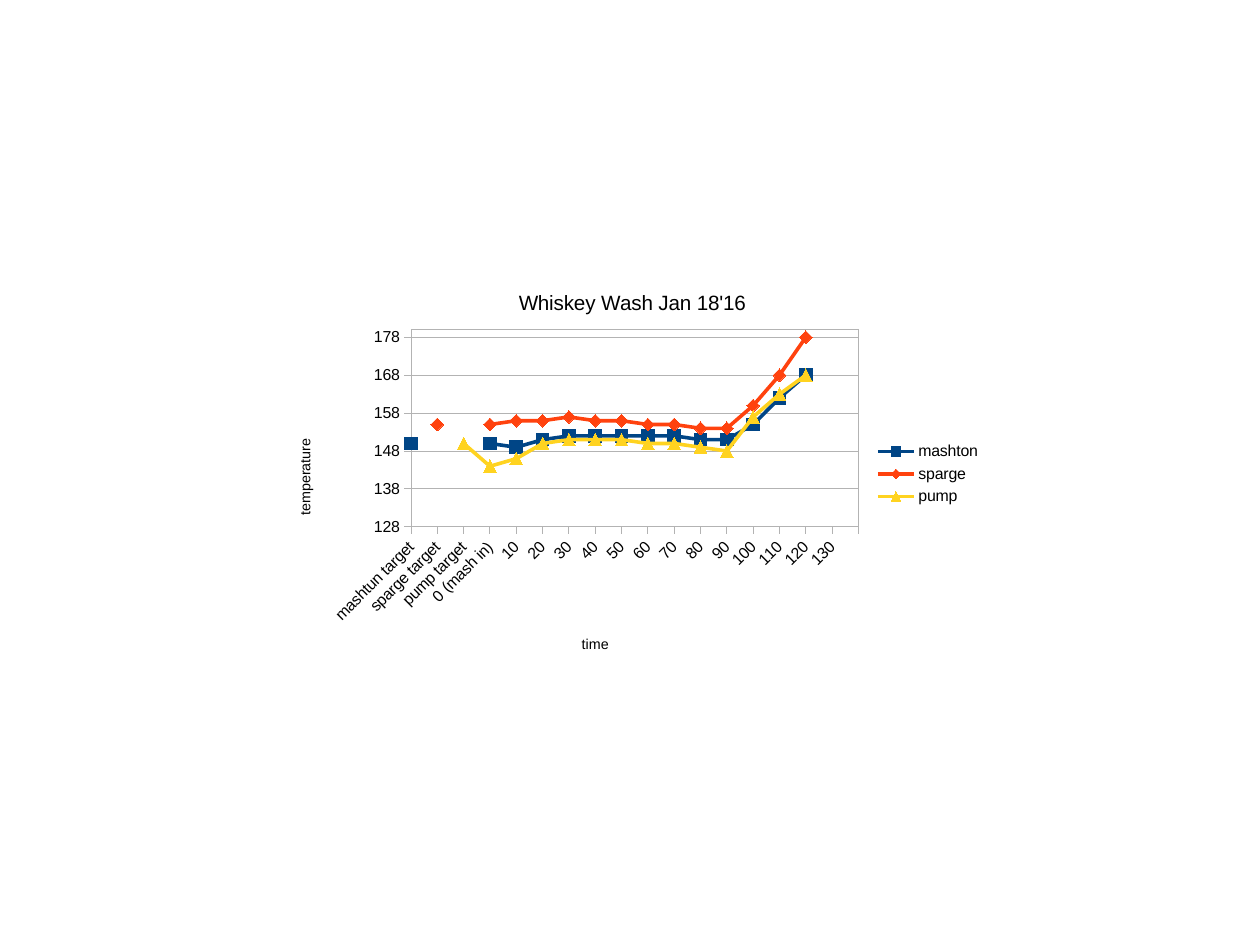
from lxml.etree import SubElement
from pptx import Presentation
from pptx.chart.data import CategoryChartData
from pptx.dml.color import RGBColor
from pptx.enum.chart import (XL_AXIS_CROSSES as Crosses, XL_CHART_TYPE as ChartType,
                             XL_LEGEND_POSITION as LegendPosition,
                             XL_MARKER_STYLE as Marker, XL_TICK_MARK as Tick)
from pptx.oxml import parse_xml
from pptx.oxml.ns import nsdecls, qn
from pptx.util import Pt

TIMES = (["mashtun target", "sparge target", "pump target", "0 (mash in)"]
         + [str(minute) for minute in range(10, 131, 10)] + [""])
READINGS = [
    ("mashton", "004586", Marker.SQUARE,
     [150, None, None, 150, 149, 151, 152, 152, 152, 152, 152, 151, 151,
      155, 162, 168, None, None]),
    ("sparge", "FF420E", Marker.DIAMOND,
     [None, 155, None, 155, 156, 156, 157, 156, 156, 155, 155, 154, 154,
      160, 168, 178, None, None]),
    ("pump", "FFD320", Marker.TRIANGLE,
     [None, None, 150, 144, 146, 150, 151, 151, 151, 150, 150, 149, 148,
      157, 163, 168, None, None]),
]


def color(value):
    return RGBColor.from_string(value)


class ChartPage:
    """Hold the style and current slide, and build the parts of its line chart."""
    face, ink, grid = "Arial", "000000", "B3B3B3"
    width, height = 453.6, 254.9

    def __init__(self, page):
        self.page = page

    def font(self, font, size):
        font.name, font.size, font.bold = self.face, Pt(size), False
        font.color.rgb = color(self.ink)

    def hairline(self, line):
        line.color.rgb = color(self.grid)
        line.width = Pt(0.01)

    def title(self, owner, text, size):
        owner.text_frame.text = text
        for span in owner.text_frame.paragraphs[0].runs:
            self.font(span.font, size)

    def place(self, element, index, **lengths):
        for old in element.findall(qn("c:layout")):
            element.remove(old)
        layout = parse_xml(f"<c:layout {nsdecls('c')}/>")
        manual = SubElement(layout, qn("c:manualLayout"))
        if "w" in lengths:
            SubElement(manual, qn("c:layoutTarget")).set("val", "inner")
        for side in ("x", "y"):
            SubElement(manual, qn(f"c:{side}Mode")).set("val", "edge")
        for key, length in lengths.items():
            whole = self.width if key in "xw" else self.height
            SubElement(manual, qn(f"c:{key}")).set("val", str(length / whole))
        element.insert(index, layout)

    def chart(self, left, top, times, readings):
        data = CategoryChartData()
        data.categories = times
        for name, _, _, values in readings:
            data.add_series(name, values)
        frame = self.page.shapes.add_chart(
            ChartType.LINE_MARKERS, Pt(left), Pt(top), Pt(self.width), Pt(self.height), data)
        chart = frame.chart
        self.font(chart.font, 10)
        chart.plots[0].vary_by_categories = False
        for series, (_, shade, symbol, _) in zip(chart.plots[0].series, readings):
            self.series(series, shade, symbol)
        return chart

    def series(self, series, shade, symbol):
        series.smooth = False
        series.format.line.color.rgb = color(shade)
        series.format.line.width = Pt(2.27)
        marker = series.marker
        marker.style, marker.size = symbol, 8
        marker.format.fill.solid()
        marker.format.fill.fore_color.rgb = color(shade)
        marker.format.line.color.rgb = color(shade)

    def axis(self, axis, text, x, y):
        axis.crosses = Crosses.MINIMUM
        axis.major_tick_mark, axis.minor_tick_mark = Tick.OUTSIDE, Tick.NONE
        self.hairline(axis.format.line)
        self.font(axis.tick_labels.font, 10)
        self.title(axis.axis_title, text, 9)
        self.place(axis.axis_title._element, 1, x=x, y=y)

    def scale(self, axis, low, high, step):
        axis.minimum_scale, axis.maximum_scale, axis.major_unit = low, high, step
        axis.has_major_gridlines = True
        self.hairline(axis.major_gridlines.format.line)
        element = axis._element
        for old in element.findall(qn("c:crossBetween")):
            element.remove(old)
        element.find(qn("c:crosses")).addnext(
            parse_xml(f'<c:crossBetween {nsdecls("c")} val="midCat"/>'))

    def slant(self, axis, degrees):
        body = axis._element.find(qn("c:txPr")).find(qn("a:bodyPr"))
        body.set("rot", str(degrees * 60000))
        body.set("vert", "horz")

    def wall(self, chart, x, y, w, h):
        area = chart._chartSpace.chart.plotArea
        self.place(area, 0, x=x, y=y, w=w, h=h)
        area.append(parse_xml(
            f'<c:spPr {nsdecls("c", "a")}><a:noFill/><a:ln w="0"><a:solidFill>'
            f'<a:srgbClr val="{self.grid}"/></a:solidFill></a:ln></c:spPr>'))

    def legend(self, chart, x, y):
        chart.has_legend = True
        chart.legend.position = LegendPosition.RIGHT
        chart.legend.include_in_layout = False
        self.font(chart.legend.font, 10)
        self.place(chart.legend._element, 1, x=x, y=y)


def main():
    deck = Presentation()
    deck.slide_width, deck.slide_height = Pt(793.7), Pt(595.28)
    sheet = ChartPage(deck.slides.add_slide(deck.slide_layouts[6]))
    chart = sheet.chart(171.4, 171.4, TIMES, READINGS)
    chart.has_title = True
    sheet.title(chart.chart_title, "Whiskey Wash Jan 18'16", 13)
    sheet.axis(chart.category_axis, "time", 193.4, 226.9)
    sheet.axis(chart.value_axis, "temperature", 13.1, 103.2)
    sheet.scale(chart.value_axis, 128, 180, 10)
    sheet.slant(chart.category_axis, -45)
    sheet.wall(chart, 87.5, 36.3, 281.9, 124.3)
    sheet.legend(chart, 378.4, 104.6)
    deck.save("out.pptx")


if __name__ == "__main__":
    main()
